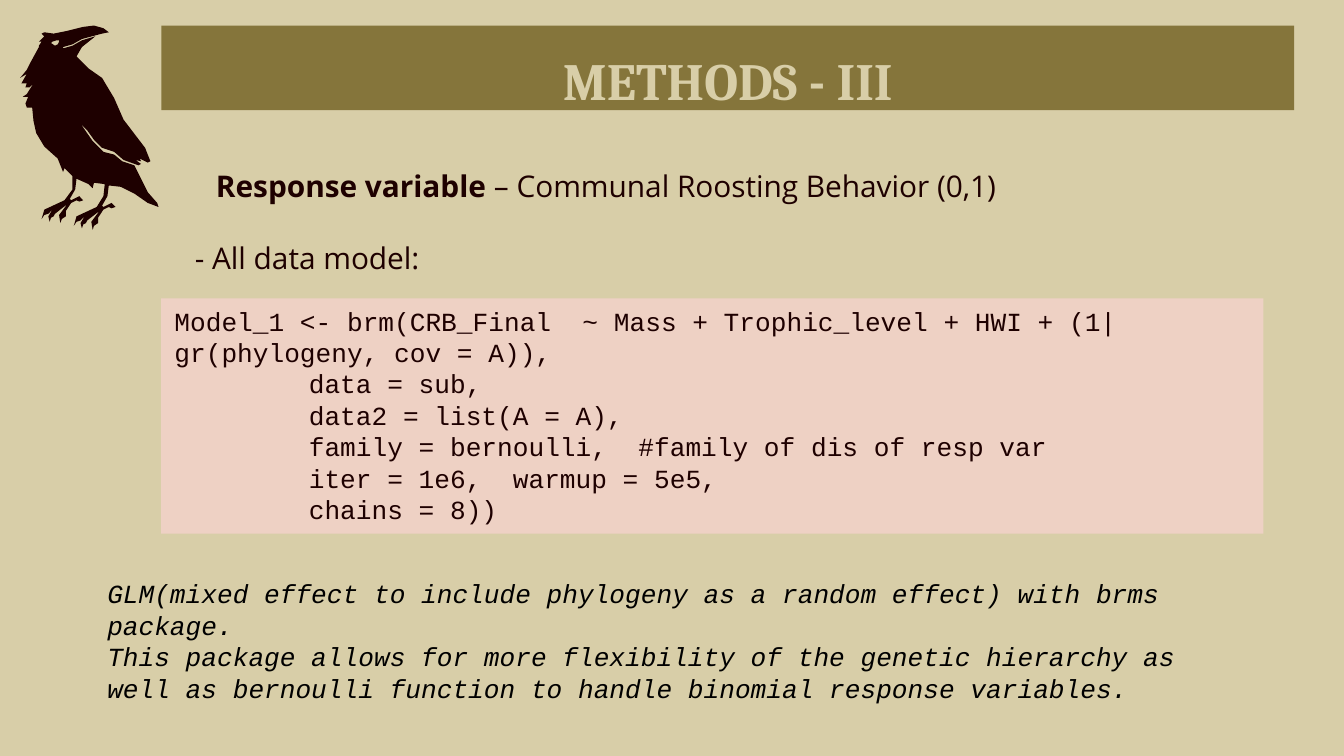
import pptx
import pptx.dml.color
import pptx.enum.text
import pptx.util

Inches = pptx.util.Inches
Pt = pptx.util.Pt
Align = pptx.enum.text.PP_ALIGN
Anchor = pptx.enum.text.MSO_ANCHOR

SAND = "D8CEA8"
OLIVE = "85753B"
DARK = "1E0000"
PINK = "EED1C4"
BLACK = "000000"

# Crow outline, in hundredths of an inch on the slide.
HEAD_AND_BREAST = [
    (70, 19), (62, 20), (50, 23), (40, 25), (33, 24), (31, 25), (33, 27),
    (29, 31), (31, 31), (29, 34), (29, 35), (23, 46), (20, 52), (15, 58),
    (20, 55), (16, 62), (20, 62), (19, 65), (22, 65), (25, 62), (20, 70),
    (17, 72), (21, 72), (19, 77), (20, 80), (24, 80), (25, 90), (27, 99),
    (33, 109), (43, 118), (47, 128), (48, 125), (54, 131), (54, 141)]
FOOT = [
    (48, 149), (33, 156), (31, 163), (33, 160), (36, 159), (39, 156),
    (36, 161), (37, 165), (38, 162), (40, 161), (41, 159), (50, 152),
    (44, 160), (45, 166), (46, 163), (49, 161), (49, 157), (53, 151),
    (57, 149), (59, 150), (62, 149), (59, 146), (53, 149), (52, 148),
    (56, 141), (57, 133)]
BELLY = [(66, 137), (69, 140), (70, 136), (78, 137), (77, 146)]
TAIL_AND_WING = [
    (90, 139), (100, 144), (110, 151), (118, 154), (117, 151), (110, 143),
    (100, 123), (91, 120), (85, 115), (77, 113), (69, 105), (60, 92),
    (65, 97), (70, 104), (76, 110), (85, 113), (92, 119), (103, 123),
    (105, 122), (101, 119), (105, 120), (104, 118), (110, 121), (112, 120),
    (108, 110), (92, 89), (85, 73), (76, 58), (66, 51), (57, 42)]
BEAK = [
    (61, 35), (71, 27), (61, 30), (54, 34), (47, 36), (47, 35), (54, 33),
    (61, 29), (76, 25), (81, 24), (77, 21)]
EYE = [(42, 30), (44, 30), (44, 31), (43, 33), (41, 34), (38, 32), (39, 31)]
FOOT_STEP = (24, 5)


def rgb(value):
    return pptx.dml.color.RGBColor.from_string(value)


class CrowSlide:
    """Holds the style and the page that is being filled."""

    heading_font = "Cambria"
    body_font = "Open Sans"
    code_font = "Courier New"
    tab_width = Inches(1)

    def __init__(self, deck):
        self.page = deck.slides.add_slide(deck.slide_layouts[5])
        self.page.background.fill.solid()
        self.page.background.fill.fore_color.rgb = rgb(SAND)

    def style(self, paragraph, font, size, color):
        paragraph.font.name = font
        paragraph.font.size = Pt(size)
        paragraph.font.color.rgb = rgb(color)

    def title(self, text, left, top, width, height):
        box = self.page.shapes.title
        box.left, box.top = Inches(left), Inches(top)
        box.width, box.height = Inches(width), Inches(height)
        box.fill.solid()
        box.fill.fore_color.rgb = rgb(OLIVE)
        frame = box.text_frame
        frame.text = text
        frame.auto_size = pptx.enum.text.MSO_AUTO_SIZE.NONE
        frame.vertical_anchor = Anchor.TOP
        frame.margin_top = frame.margin_bottom = Inches(0.1)
        paragraph = frame.paragraphs[0]
        paragraph.alignment = Align.CENTER
        paragraph.line_spacing = 1.15
        self.style(paragraph, self.heading_font, 28, SAND)
        paragraph.font.bold = True

    def text_box(self, left, top, width, height):
        box = self.page.shapes.add_textbox(
            Inches(left), Inches(top), Inches(width), Inches(height))
        box.text_frame.word_wrap = True
        return box

    def variables(self, label, description, model, *place):
        frame = self.text_box(*place).text_frame
        frame.margin_left, frame.margin_top = Inches(0.25), Inches(0.3)
        response = frame.paragraphs[0]
        response.alignment = Align.CENTER
        span = response.add_run()
        span.text = label
        span.font.bold = True
        response.add_run().text = description
        heading = frame.add_paragraph()
        heading.text = model
        heading.space_before = Pt(19)
        for paragraph in frame.paragraphs:
            self.style(paragraph, self.body_font, 16, DARK)

    def monospace(self, lines, color, *place, fill=None, italic=None):
        box = self.text_box(*place)
        if fill:
            box.fill.solid()
            box.fill.fore_color.rgb = rgb(fill)
        box.text_frame.text = "\n".join(lines)
        for paragraph in box.text_frame.paragraphs:
            properties = paragraph._p.get_or_add_pPr()
            properties.set("defTabSz", str(self.tab_width))
            self.style(paragraph, self.code_font, 14, color)
            paragraph.font.italic = italic

    def silhouette(self, outline, hole):
        builder = self.page.shapes.build_freeform(
            *outline[0], scale=Inches(0.01))
        builder.add_line_segments(outline[1:])
        builder.move_to(*hole[0])
        builder.add_line_segments(hole[1:])
        shape = builder.convert_to_shape()
        shape.shadow.inherit = False
        shape.fill.solid()
        shape.fill.fore_color.rgb = rgb(DARK)
        shape.line.fill.background()


def main():
    deck = pptx.Presentation()
    deck.slide_width = Inches(10)
    deck.slide_height = deck.slide_width * 9 // 16
    slide = CrowSlide(deck)
    slide.title("METHODS - III", 1.2, 0.19, 8.43, 0.63)
    slide.variables(
        "Response variable ", "– Communal Roosting Behavior (0,1)",
        "- All data model:", 1.2, 0.95, 6.47, 2.19)

    step_x, step_y = FOOT_STEP
    right_foot = [(x + step_x, y + step_y) for x, y in FOOT]
    slide.silhouette(
        HEAD_AND_BREAST + FOOT + BELLY + right_foot + TAIL_AND_WING + BEAK,
        EYE)

    slide.monospace(
        ["Model_1 <- brm(CRB_Final  ~ Mass + Trophic_level + HWI + "
         "(1|gr(phylogeny, cov = A)),",
         "\tdata = sub,",
         "\tdata2 = list(A = A),",
         "\tfamily = bernoulli,  #family of dis of resp var",
         "\titer = 1e6,  warmup = 5e5,",
         "\tchains = 8))"],
        DARK, 1.2, 2.22, 8.2, 1.75, fill=PINK)
    slide.monospace(
        ["GLM(mixed effect to include phylogeny as a random effect) "
         "with brms package.",
         "This package allows for more flexibility of the genetic hierarchy "
         "as well as bernoulli function to handle binomial response "
         "variables."],
        BLACK, 0.7, 4.25, 8.66, 1.04, italic=True)
    deck.save("out.pptx")


if __name__ == "__main__":
    main()
